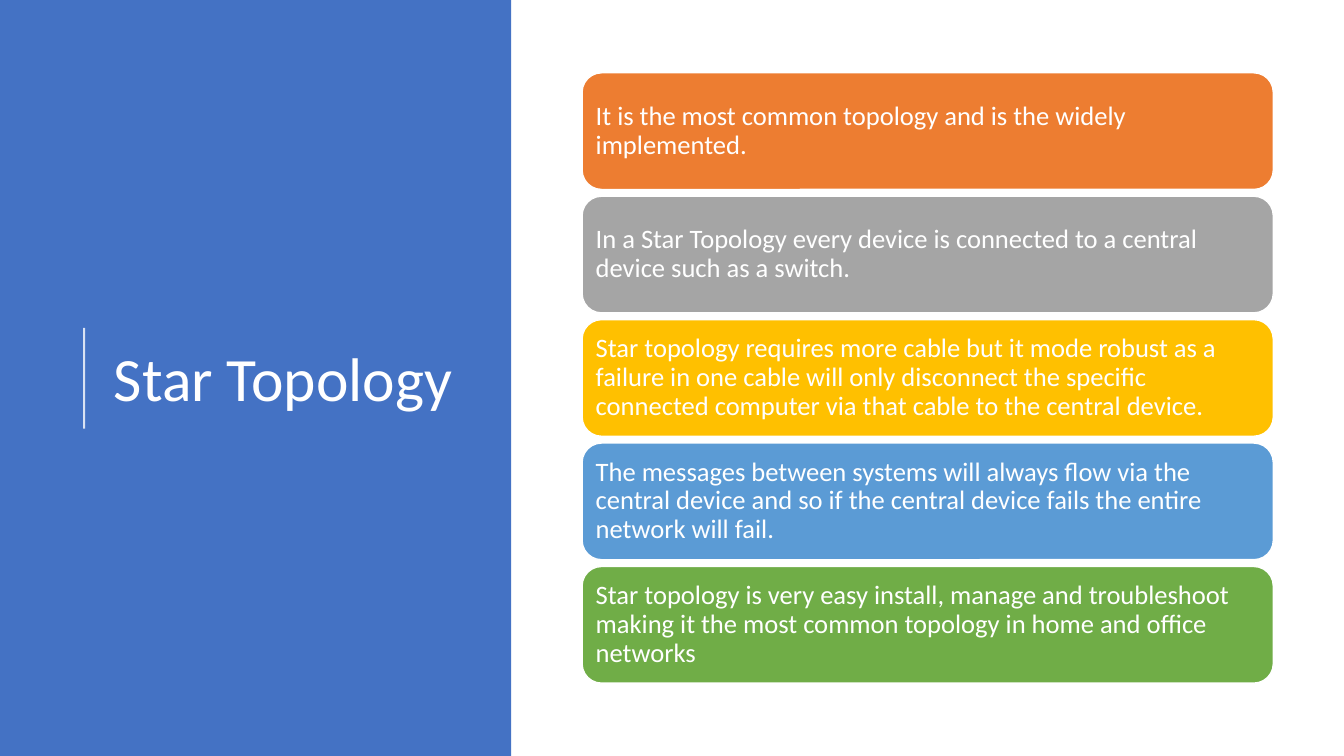
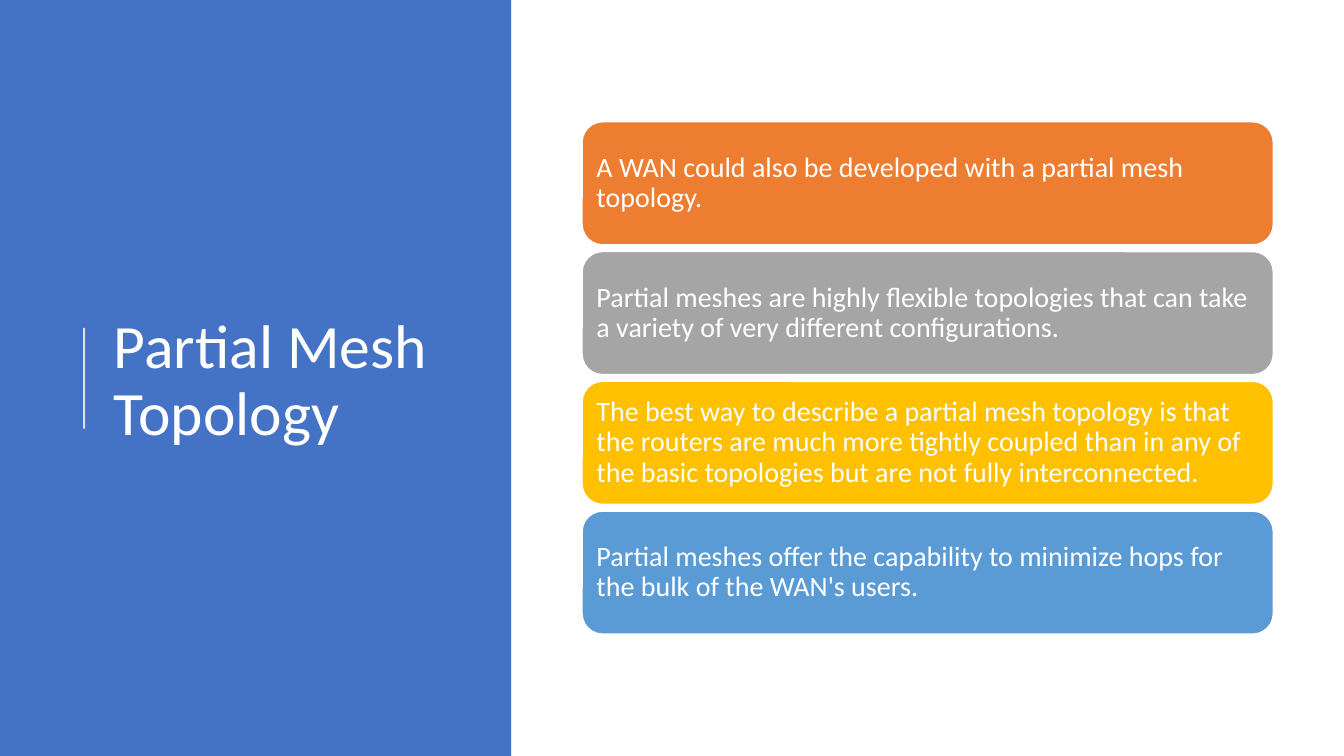
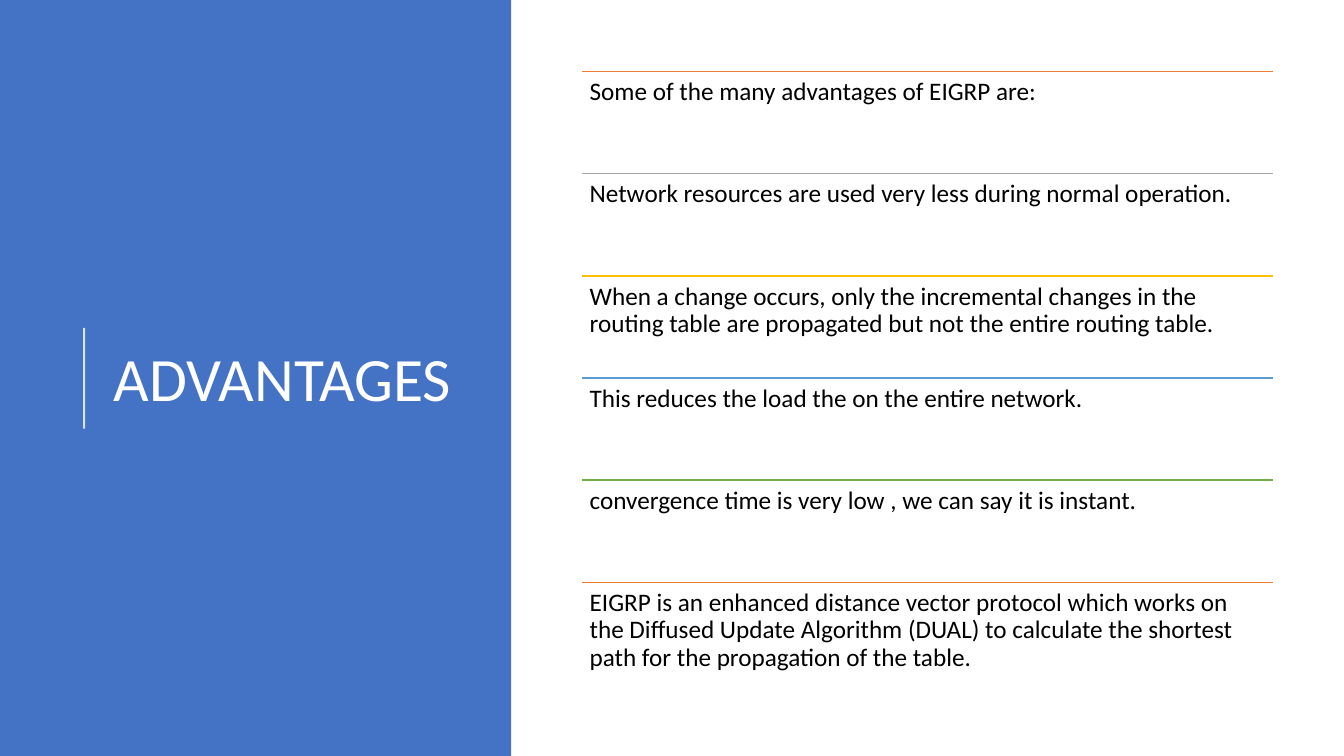
from lxml import etree
from pptx import Presentation
from pptx import util as u
from pptx.dml.color import RGBColor
from pptx.enum import shapes, text
from pptx.oxml.ns import qn

PAGE_WIDTH, PAGE_HEIGHT = 33.87, 19.05
COLUMN_LEFT, COLUMN_WIDTH = 14.67, 17.42
CARD_GAP = 0.17


def color(value):
    return RGBColor.from_string(value)


def write(box, words, *, size, fill, anchor, inset=None):
    """Put one left-aligned paragraph into a shape or text box."""
    frame = box.text_frame
    frame.word_wrap = True
    frame.vertical_anchor = anchor
    if inset is not None:
        frame.margin_left = frame.margin_right = inset
        frame.margin_top = frame.margin_bottom = inset
    para = frame.paragraphs[0]
    para.alignment = text.PP_ALIGN.LEFT
    para.line_spacing = 0.9
    span = para.add_run()
    span.text = words
    span.font.name = Slides.FONT
    span.font.size = u.Pt(size)
    span.font.color.rgb = color(fill)


class Slides:
    FONT = "Calibri"
    BLUE, WHITE, BLACK = "4472C4", "FFFFFF", "000000"
    ACCENTS = ["ED7D31", "A5A5A5", "FFC000", "5B9BD5", "70AD47"]

    def __init__(self):
        self.deck = Presentation()
        self.deck.slide_width = u.Cm(PAGE_WIDTH)
        self.deck.slide_height = u.Cm(PAGE_HEIGHT)
        self.page = None

    def accent(self, index):
        return self.ACCENTS[index % len(self.ACCENTS)]

    def new_page(self, title):
        """Start a slide with the blue side panel, title and upright rule."""
        self.page = self.deck.slides.add_slide(self.deck.slide_layouts[6])
        self.block(shapes.MSO_SHAPE.RECTANGLE, 0, 0, 12.88, PAGE_HEIGHT, self.BLUE)
        box = self.page.shapes.add_textbox(u.Cm(2.62), u.Cm(1.98), u.Cm(9.37), u.Cm(15.29))
        write(box, title, size=44, fill=self.WHITE, anchor=text.MSO_ANCHOR.MIDDLE)
        self.rule(2.12, 10.8, 2.12, 8.26, self.WHITE, width=1.5, opacity=80)

    def block(self, kind, left, top, width, height, fill, outline=None):
        box = self.page.shapes.add_shape(
            kind, u.Cm(left), u.Cm(top), u.Cm(width), u.Cm(height))
        box.shadow.inherit = False
        box.fill.solid()
        box.fill.fore_color.rgb = color(fill)
        if outline:
            box.line.color.rgb = color(outline)
            box.line.width = u.Pt(1)
        else:
            box.line.fill.background()
        return box

    def rule(self, x1, y1, x2, y2, fill, width=1, opacity=100):
        line = self.page.shapes.add_connector(
            shapes.MSO_CONNECTOR.STRAIGHT, u.Cm(x1), u.Cm(y1), u.Cm(x2), u.Cm(y2))
        line.line.color.rgb = color(fill)
        line.line.width = u.Pt(width)
        properties = line._element.spPr
        etree.SubElement(properties, qn("a:effectLst"))
        if opacity < 100:
            tint = properties.find(".//" + qn("a:srgbClr"))
            etree.SubElement(tint, qn("a:alpha"), val=str(opacity * 1000))

    def cards(self, items, height, size):
        """Stack rounded cards, centred on the slide's height."""
        pitch = height + CARD_GAP
        first = (PAGE_HEIGHT - len(items) * pitch + CARD_GAP) / 2
        for index, words in enumerate(items):
            card = self.block(
                shapes.MSO_SHAPE.ROUNDED_RECTANGLE, COLUMN_LEFT, first + index * pitch,
                COLUMN_WIDTH, height, self.accent(index), outline=self.WHITE)
            write(card, words, size=size, fill=self.WHITE,
                  anchor=text.MSO_ANCHOR.MIDDLE, inset=u.Pt(0.3 * size))

    def ruled_list(self, items, top, size):
        """Fill the column with rows, each under a coloured rule."""
        height = (PAGE_HEIGHT - 2 * top) / len(items)
        for index, words in enumerate(items):
            y = top + index * height
            self.rule(COLUMN_LEFT, y, COLUMN_LEFT + COLUMN_WIDTH, y, self.accent(index))
            row = self.page.shapes.add_textbox(
                u.Cm(COLUMN_LEFT), u.Cm(y), u.Cm(COLUMN_WIDTH), u.Cm(height))
            write(row, words, size=size, fill=self.BLACK,
                  anchor=text.MSO_ANCHOR.TOP, inset=u.Pt(0.3 * size))


def main():
    slides = Slides()

    # Star topology
    slides.new_page("Star Topology")
    slides.cards([
        "It is the most common topology and is the widely implemented.",
        "In a Star Topology every device is connected to a central device such as a switch.",
        "Star topology requires more cable but it mode robust as a failure in one cable "
        "will only disconnect the specific connected computer via that cable to the "
        "central device.",
        "The messages between systems will always flow via the central device and so if "
        "the central device fails the entire network will fail.",
        "Star topology is very easy install, manage and troubleshoot making it the most "
        "common topology in home and office networks",
    ], height=2.94, size=19)

    # Partial mesh topology
    slides.new_page("Partial Mesh Topology")
    slides.cards([
        "A WAN could also be developed with a partial mesh topology.",
        "Partial meshes are highly flexible topologies that can take a variety of very "
        "different configurations.",
        "The best way to describe a partial mesh topology is that the routers are much "
        "more tightly coupled than in any of the basic topologies but are not fully "
        "interconnected.",
        "Partial meshes offer the capability to minimize hops for the bulk of the WAN's "
        "users.",
    ], height=3.1, size=20)

    # Advantages
    slides.new_page("ADVANTAGES")
    slides.ruled_list([
        "Some of the many advantages of EIGRP are:",
        "Network resources are used very less during normal operation.",
        "When a change occurs, only the incremental changes in the routing table are "
        "propagated but not the entire routing table.",
        "This reduces the load the on the entire network.",
        "convergence time is very low , we can say it is instant.",
        "EIGRP is an enhanced distance vector protocol which works on the Diffused Update "
        "Algorithm (DUAL) to calculate the shortest path for the propagation of the table.",
    ], top=1.8, size=18)

    slides.deck.save("out.pptx")


if __name__ == "__main__":
    main()
